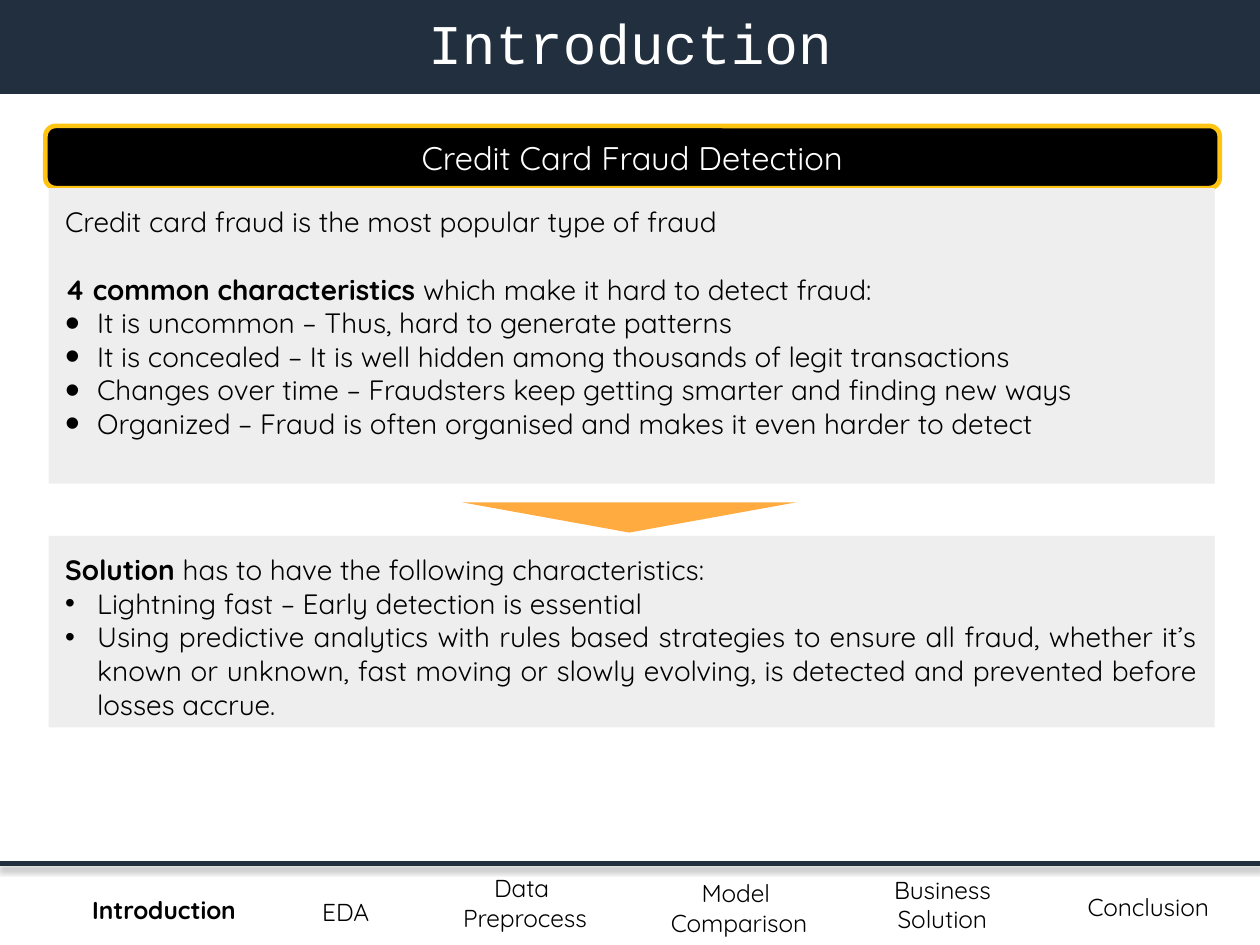
import pptx
import pptx.util
import pptx.dml.color
import pptx.enum.shapes
import pptx.enum.text
import pptx.oxml
import pptx.oxml.ns
from pptx.util import Inches, Pt

COLORS = {
    "navy": "222F3E", "gold": "FFC312", "orange": "FFAB40",
    "panel": "EEEEEE", "black": "000000", "white": "FFFFFF",
}
FONT = "Quicksand"
SHAPE = pptx.enum.shapes.MSO_SHAPE
ALIGN = pptx.enum.text.PP_ALIGN
ANCHOR = pptx.enum.text.MSO_ANCHOR

PROBLEM = [
    ("", "Credit card fraud is the most popular type of fraud", False),
    ("4 common characteristics", " which make it hard to detect fraud:", False),
    ("", "It is uncommon – Thus, hard to generate patterns", True),
    ("", "It is concealed – It is well hidden among thousands of legit transactions", True),
    ("", "Changes over time – Fraudsters keep getting smarter and finding new ways", True),
    ("", "Organized – Fraud is often organised and makes it even harder to detect", True),
]
SOLUTION = [
    ("Solution ", "has to have the following characteristics:", False),
    ("", "Lightning fast – Early detection is essential", True),
    ("", "Using predictive analytics with rules based strategies to ensure all fraud, "
         "whether it’s known or unknown, fast moving or slowly evolving, is detected "
         "and prevented before losses accrue.", True),
]
NAV = [
    ("Introduction", 0.45, 0.14, 1.52, ALIGN.LEFT),
    ("EDA", 1.82, 0.15, 0.7, ALIGN.LEFT),
    ("Data \nPreprocess", 2.63, 0.01, 0.99, ALIGN.CENTER),
    ("Model \nComparison", 3.85, 0.04, 1.1, ALIGN.CENTER),
    ("Business Solution", 5.06, 0.02, 1.1, ALIGN.CENTER),
    ("Conclusion", 6.33, 0.12, 1.01, ALIGN.CENTER),
]


def rgb(name):
    return pptx.dml.color.RGBColor.from_string(COLORS[name])


def style(r, size, color="black", bold=False, font=FONT):
    r.font.name = font
    r.font.size = Pt(size)
    r.font.bold = bold
    r.font.color.rgb = rgb(color)


def add_box(s, kind, fill, x, y, w, h):
    sp = s.shapes.add_shape(kind, Inches(x), Inches(y), Inches(w), Inches(h))
    sp.shadow.inherit = False
    sp.fill.solid()
    sp.fill.fore_color.rgb = rgb(fill)
    sp.line.fill.background()
    return sp


def add_bullet(p, percent):
    pPr = p._p.get_or_add_pPr()
    pPr.set("marL", str(Inches(0.19)))
    pPr.set("indent", str(-Inches(0.19)))
    ns = pptx.oxml.ns.nsdecls("a")
    for xml in (f'<a:buSzPct {ns} val="{percent * 1000}"/>',
                f'<a:buFont {ns} typeface="Arial"/>',
                f'<a:buChar {ns} char="•"/>'):
        pPr.append(pptx.oxml.parse_xml(xml))


def add_title(s, x, y, w, h):
    sp = s.shapes.title
    sp.left, sp.top, sp.width, sp.height = map(Inches, (x, y, w, h))
    sp.fill.solid()
    sp.fill.fore_color.rgb = rgb("navy")
    tf = sp.text_frame
    tf.text = "Introduction"
    tf.vertical_anchor = ANCHOR.MIDDLE
    tf.margin_top, tf.margin_bottom = Inches(0.02), Inches(0.08)
    p = tf.paragraphs[0]
    p.alignment = ALIGN.CENTER
    style(p.runs[0], 24, "white", font="Courier New")


def add_heading(s, x, y, w, h):
    sp = add_box(s, SHAPE.ROUNDED_RECTANGLE, "black", x, y, w, h)
    sp.line.color.rgb = rgb("gold")
    sp.line.width = Pt(2)
    tf = sp.text_frame
    tf.text = "Credit Card Fraud Detection"
    tf.vertical_anchor = ANCHOR.MIDDLE
    p = tf.paragraphs[0]
    p.alignment = ALIGN.CENTER
    style(p.runs[0], 14, "white")


def add_panel(s, lines, bullet_percent, x, y, w, h):
    tf = add_box(s, SHAPE.RECTANGLE, "panel", x, y, w, h).text_frame
    tf.word_wrap = True
    tf.vertical_anchor = ANCHOR.TOP
    tf.margin_left = tf.margin_right = tf.margin_top = tf.margin_bottom = Inches(0.1)
    for i, (lead, text, bulleted) in enumerate(lines):
        p = tf.add_paragraph() if i else tf.paragraphs[0]
        p.alignment = ALIGN.JUSTIFY
        if lead:
            p.space_before = Pt(14.4 if i else 0)
            r = p.add_run()
            r.text = lead
            style(r, 12, bold=True)
        r = p.add_run()
        r.text = text
        style(r, 12)
        if bulleted:
            add_bullet(p, bullet_percent)


def add_arrow(s, x, y, w, h):
    add_box(s, SHAPE.ISOSCELES_TRIANGLE, "orange", x, y, w, h).rotation = 180


def add_nav(s, x, y, w, h):
    rule = s.shapes.add_connector(pptx.enum.shapes.MSO_CONNECTOR.STRAIGHT,
                                  Inches(x), Inches(y), Inches(x + w), Inches(y))
    rule.line.color.rgb = rgb("navy")
    rule.line.width = Pt(2)
    rule._element.spPr.append(pptx.oxml.parse_xml(
        f'<a:effectLst {pptx.oxml.ns.nsdecls("a")}>'
        f'<a:outerShdw blurRad="{Pt(3.1)}" dist="{Pt(1.6)}" dir="5400000" rotWithShape="0">'
        f'<a:srgbClr val="{COLORS["black"]}"><a:alpha val="38000"/></a:srgbClr>'
        '</a:outerShdw></a:effectLst>'))
    for label, dx, dy, width, align in NAV:
        tb = s.shapes.add_textbox(Inches(x + dx), Inches(y + dy), Inches(width), Inches(h - dy))
        tf = tb.text_frame
        tf.word_wrap = True
        tf.text = label
        for p in tf.paragraphs:
            p.alignment = align
            style(p.runs[0], 10.5, bold=label == "Introduction")


def main():
    prs = pptx.Presentation()
    prs.slide_width = Inches(7.5)
    prs.slide_height = prs.slide_width * 3 // 4
    s = prs.slides.add_slide(prs.slide_layouts[5])
    add_title(s, 0, 0, 7.5, 0.56)
    add_heading(s, 0.27, 0.75, 6.99, 0.37)
    add_panel(s, PROBLEM, 150, 0.29, 1.12, 6.94, 1.76)
    add_arrow(s, 2.75, 2.99, 1.99, 0.18)
    add_panel(s, SOLUTION, 100, 0.29, 3.19, 6.94, 1.14)
    add_nav(s, 0, 5.14, 7.5, 0.48)
    prs.save("out.pptx")


if __name__ == "__main__":
    main()
